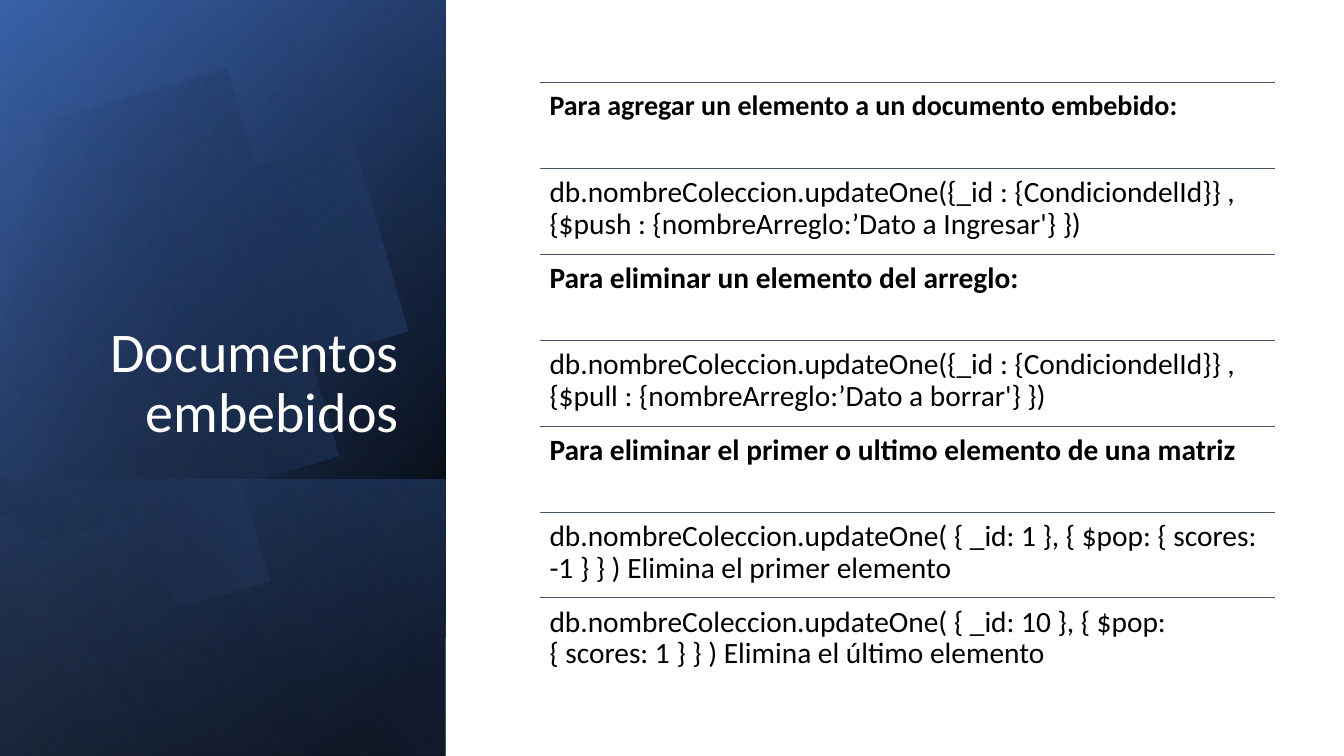
from math import cos, radians, sin
from lxml import etree
from pptx import Presentation
from pptx.dml.color import RGBColor
from pptx.enum.shapes import MSO_CONNECTOR, MSO_SHAPE
from pptx.enum.text import MSO_ANCHOR, PP_ALIGN
from pptx.oxml import parse_xml
from pptx.oxml.ns import nsdecls, qn
from pptx.util import Inches, Pt

RECT = MSO_SHAPE.RECTANGLE
LINE = MSO_CONNECTOR.STRAIGHT
TOP, BOTTOM = MSO_ANCHOR.TOP, MSO_ANCHOR.BOTTOM
LEFT, RIGHT = PP_ALIGN.LEFT, PP_ALIGN.RIGHT

COLORS = {
    "black": "000000",
    "white": "FFFFFF",
    "navy": "2F5597",
    "blue": "4472C4",
    "pale": "8FAADC",
    "slate": "44546A",
}


class Deck:
    font = "Calibri"

    def __init__(self, wide, high):
        self.file = Presentation()
        self.file.slide_width = Inches(wide)
        self.file.slide_height = Inches(high)
        self.slide = self.file.slides.add_slide(self.file.slide_layouts[6])
        self.shapes = self.slide.shapes

    def shade(self, shape, stops, angle):
        shape.shadow.inherit = False
        shape.line.fill.background()
        shape.fill.solid()
        marks = "".join(
            f'<a:gs pos="{pos * 1000}"><a:srgbClr val="{COLORS[name]}">'
            f'<a:alpha val="{alpha * 1000}"/></a:srgbClr></a:gs>'
            for pos, name, alpha in stops
        )
        grad = parse_xml(
            f'<a:gradFill {nsdecls("a")} rotWithShape="1"><a:gsLst>{marks}</a:gsLst>'
            f'<a:lin ang="{angle * 60000}" scaled="0"/></a:gradFill>'
        )
        props = shape._element.spPr
        props.replace(props.find(qn("a:solidFill")), grad)

    def panel(self, box, stops, angle):
        shape = self.shapes.add_shape(RECT, *map(Inches, box))
        shape.rotation = 90
        shape._element.spPr.find(qn("a:xfrm")).set("flipH", "1")
        self.shade(shape, stops, angle)

    def disc(self, points, turn, stops, angle):
        pen = self.shapes.build_freeform(*points[0], scale=Inches(1))
        pen.add_line_segments(points[1:], close=True)
        shape = pen.convert_to_shape()
        shape.rotation = turn
        self.shade(shape, stops, angle)

    def rule(self, left, top, width):
        line = self.shapes.add_connector(
            LINE, Inches(left), Inches(top), Inches(left + width), Inches(top)
        )
        line.line.color.rgb = RGBColor.from_string(COLORS["slate"])
        line.line.width = Pt(0.5)
        etree.SubElement(line._element.spPr, qn("a:effectLst"))

    def text(self, box, words, size, color, bold=False, align=LEFT,
             anchor=TOP, pad=(0.09, 0.09)):
        frame = self.shapes.add_textbox(*map(Inches, box)).text_frame
        frame.word_wrap = True
        frame.vertical_anchor = anchor
        frame.margin_left = frame.margin_right = Inches(pad[0])
        frame.margin_top = frame.margin_bottom = Inches(pad[1])
        frame.text = words
        para = frame.paragraphs[0]
        para.alignment = align
        para.line_spacing = 0.9
        font = para.runs[0].font
        font.name, font.size, font.bold = self.font, Pt(size), bold
        font.color.rgb = RGBColor.from_string(COLORS[color])


def curve(a, b, c, d, steps=24):
    for i in range(1, steps + 1):
        t = i / steps
        u = 1 - t
        yield tuple(
            u**3 * p + 3 * u * u * t * q + 3 * u * t * t * r + t**3 * s
            for p, q, r, s in zip(a, b, c, d)
        )


def spin(point, hub, angle):
    x, y = point[0] - hub[0], point[1] - hub[1]
    a = radians(angle)
    return hub[0] + x * cos(a) - y * sin(a), hub[1] + x * sin(a) + y * cos(a)


deck = Deck(13.33, 7.5)

SIDE = (-1.54, 1.54, 7.5, 4.42)
deck.panel(SIDE, [(8, "black", 100), (100, "navy", 100)], 50)
deck.panel(SIDE, [(0, "black", 0), (99, "blue", 46)], 30)
deck.panel((0.84, 3.92, 2.74, 4.42), [(2, "blue", 29), (100, "black", 30)], 130)

TURN = 343.9
HUB = (1.59, 3.35)
ARCS = [
    [(2.46, 1.12), (3.35, 1.77), (3.63, 2.75)],
    [(3.98, 3.97), (3.28, 5.23), (2.07, 5.58)],
    [(1.31, 5.8), (0.53, 5.61), (-0.03, 5.14)],
    [(-0.15, 5.03)],
    [(-0.15, 1.75)],
    [(0, 1.61)],
    [(0.23, 1.42), (0.5, 1.28), (0.8, 1.19)],
    [(1.03, 1.13), (1.26, 1.1), (1.49, 1.1)],
]
edge = [(1.49, 1.1)]
for arc in ARCS:
    edge.extend(curve(edge[-1], *arc) if len(arc) == 3 else arc)
deck.disc([spin(point, HUB, -TURN) for point in edge], TURN,
          [(29, "black", 0), (100, "blue", 43)], 30)

deck.panel(SIDE, [(0, "black", 0), (99, "pale", 11)], 120)
deck.text((0.64, 1.84, 3.41, 2.62), "Documentos embebidos", 40, "white",
          align=RIGHT, anchor=BOTTOM, pad=(0.1, 0.05))

ROWS = [
    ("Para agregar un elemento a un documento embebido:", 20, True),
    ("db.nombreColeccion.updateOne({_id : {CondiciondelId}} , "
     "{$push : {nombreArreglo:’Dato a Ingresar'} })", 21, False),
    ("Para eliminar un elemento del arreglo:", 21, True),
    ("db.nombreColeccion.updateOne({_id : {CondiciondelId}} , "
     "{$pull : {nombreArreglo:’Dato a borrar'} })", 21, False),
    ("Para eliminar el primer o ultimo elemento de una matriz", 21, True),
    ("db.nombreColeccion.updateOne( { _id: 1 }, { $pop: { scores: -1 } } ) "
     "Elimina el primer elemento", 21, False),
    ("db.nombreColeccion.updateOne( { _id: 10 }, { $pop: { scores: 1 } } ) "
     "Elimina el último elemento", 21, False),
]
X, Y, WIDE = 5.36, 0.82, 7.29
STEP = 5.11 / (len(ROWS) - 1)
for i, (words, size, bold) in enumerate(ROWS):
    top = Y + i * STEP
    deck.rule(X, top, WIDE)
    deck.text((X, top, WIDE, STEP), words, size, "black", bold)

deck.file.save("out.pptx")
